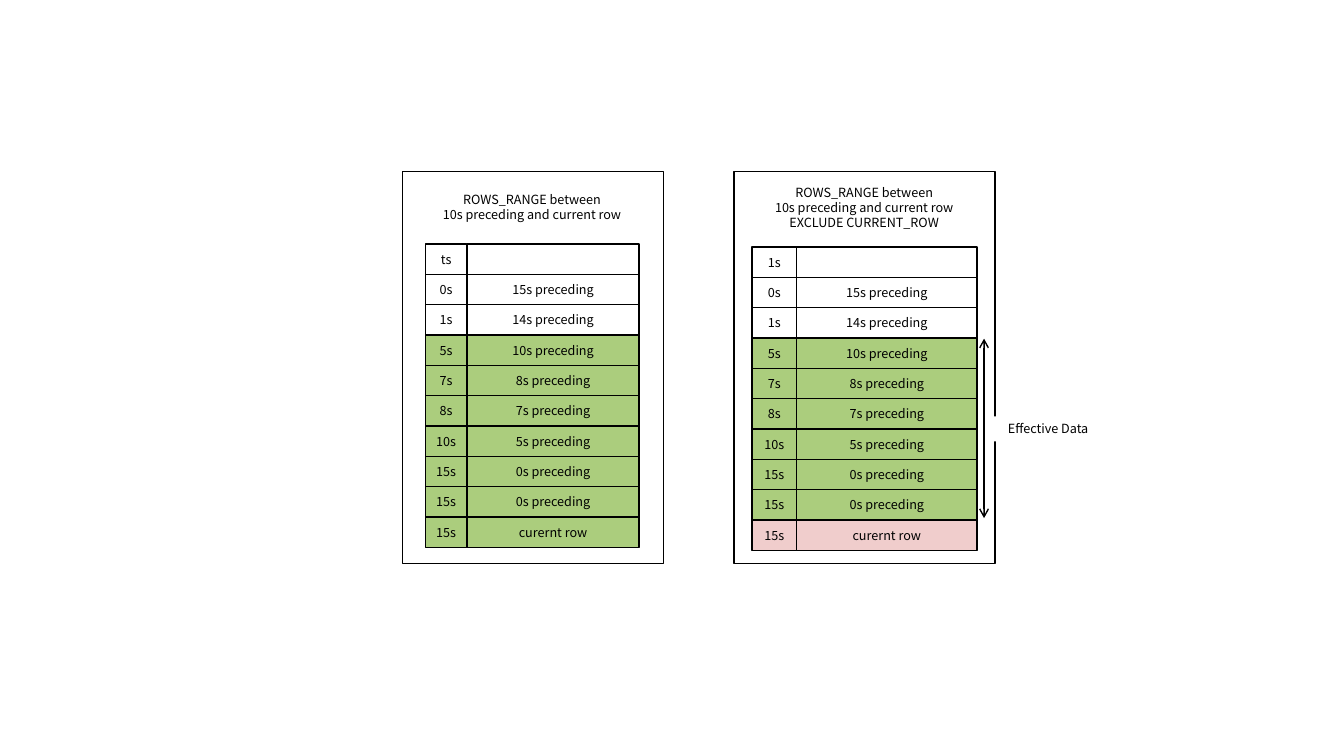
import pptx
import pptx.util
import pptx.dml.color
import pptx.enum.shapes
import pptx.enum.text
import pptx.oxml
import pptx.oxml.ns

BLACK, WHITE, GREEN, PINK = "000000", "FFFFFF", "ABCD7D", "F0CDCC"
FONT = "Noto Sans CJK SC"


def color(value):
    return pptx.dml.color.RGBColor.from_string(value)


class Canvas:
    unit = pptx.util.Inches(0.1)
    size = pptx.util.Pt(9)
    weight = pptx.util.Pt(1)

    def __init__(self, slide):
        self.shapes = slide.shapes

    def grid(self, *cells):
        return [round(cell * self.unit) for cell in cells]

    def set_text(self, sp, lines):
        tf = sp.text_frame
        tf.vertical_anchor = pptx.enum.text.MSO_ANCHOR.MIDDLE
        tf.text = "\n".join(lines)
        for p in tf.paragraphs:
            p.alignment = pptx.enum.text.PP_ALIGN.CENTER
            p.font.size = self.size
            p.font.name = FONT
            p.font.color.rgb = color(BLACK)
        return tf

    def box(self, x, y, w, h, text="", fill=None, line=BLACK):
        sp = self.shapes.add_shape(
            pptx.enum.shapes.MSO_SHAPE.RECTANGLE, *self.grid(x, y, w, h))
        sp.shadow.inherit = False
        if fill:
            sp.fill.solid()
            sp.fill.fore_color.rgb = color(fill)
        else:
            sp.fill.background()
        if line:
            sp.line.color.rgb = color(line)
            sp.line.width = self.weight
        else:
            sp.line.fill.background()
        if text:
            tf = self.set_text(sp, [text])
            tf.margin_left = tf.margin_right = 0
            tf.word_wrap = False

    def label(self, x, y, w, h, lines):
        sp = self.shapes.add_textbox(*self.grid(x, y, w, h))
        tf = self.set_text(sp, lines)
        tf.word_wrap = False
        tf.auto_size = pptx.enum.text.MSO_AUTO_SIZE.SHAPE_TO_FIT_TEXT

    def rows(self, x, y, widths, height, rows):
        for i, (time, note, fill) in enumerate(rows):
            top = y + i * height
            self.box(x, top, widths[0], height, time, fill)
            self.box(x + widths[0], top, widths[1], height, note, fill)

    def double_arrow(self, x1, y1, x2, y2):
        cx = self.shapes.add_connector(
            pptx.enum.shapes.MSO_CONNECTOR.STRAIGHT, *self.grid(x1, y1, x2, y2))
        cx.line.color.rgb = color(BLACK)
        cx.line.width = self.weight
        ns = pptx.oxml.ns.nsdecls("a")
        properties = cx._element.spPr
        ln = properties.find(pptx.oxml.ns.qn("a:ln"))
        for end in ("headEnd", "tailEnd"):
            ln.append(pptx.oxml.parse_xml(f'<a:{end} {ns} type="arrow"/>'))
        properties.append(pptx.oxml.parse_xml(f"<a:effectLst {ns}/>"))


def window_rows(header, current_fill):
    before = [("0s", 15), ("1s", 14)]
    inside = [("5s", 10), ("7s", 8), ("8s", 7), ("10s", 5), ("15s", 0), ("15s", 0)]
    return [
        (header, "", None),
        *((time, f"{gap}s preceding", None) for time, gap in before),
        *((time, f"{gap}s preceding", GREEN) for time, gap in inside),
        ("15s", "curernt row", current_fill),
    ]


def main():
    prs = pptx.Presentation()
    prs.slide_width = pptx.util.Inches(13.33)
    prs.slide_height = pptx.util.Inches(7.5)
    s = Canvas(prs.slides.add_slide(prs.slide_layouts[6]))

    title = ["ROWS_RANGE between", "10s preceding and current row"]
    for x in (39.9, 72.8):
        s.box(x, 17, 25.9, 38.9)
    s.rows(42.2, 24.2, (4.1, 17.1), 3.01, window_rows("ts", GREEN))
    s.rows(74.6, 24.5, (4.4, 17.9), 3.01, window_rows("1s", PINK))
    s.label(42.7, 18.6, 20.1, 3.9, title)
    s.label(75.3, 17.8, 20.8, 5.6, title + ["EXCLUDE CURRENT_ROW"])
    s.double_arrow(97.6, 51.4, 97.6, 33.6)
    s.box(98.4, 41.3, 11.1, 2.5, "Effective Data", WHITE, None)
    prs.save("out.pptx")


if __name__ == "__main__":
    main()
